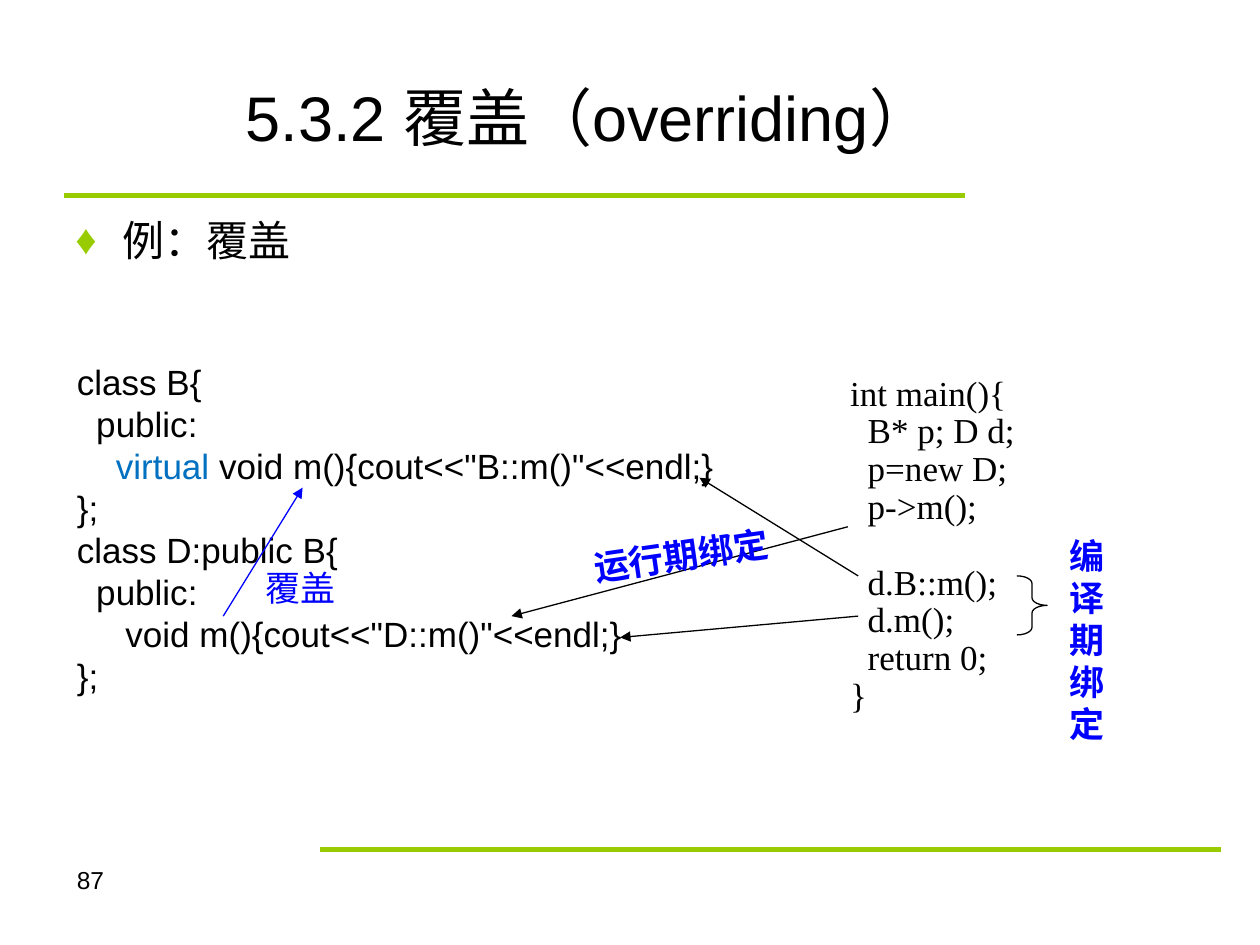
from dataclasses import dataclass

from lxml import etree
from pptx import Presentation
from pptx.dml.color import RGBColor
from pptx.enum.shapes import MSO_CONNECTOR, MSO_SHAPE
from pptx.enum.text import MSO_ANCHOR, MSO_AUTO_SIZE, PP_ALIGN
from pptx.oxml.ns import qn
from pptx.util import Cm, Pt

STRAIGHT = MSO_CONNECTOR.STRAIGHT
RIGHT_BRACE = MSO_SHAPE.RIGHT_BRACE
MIDDLE = MSO_ANCHOR.MIDDLE
NO_FIT = MSO_AUTO_SIZE.NONE
LEFT = PP_ALIGN.LEFT

CLASS_CODE = """class B{
  public:
    virtual void m(){cout<<"B::m()"<<endl;}
};
class D:public B{
  public:
     void m(){cout<<"D::m()"<<endl;}
};"""

MAIN_START = """int main(){
  B* p; D d;
  p=new D;
  p->m();"""

MAIN_END = """  d.B::m();
  d.m();
  return 0;
}"""


@dataclass(frozen=True)
class Theme:
    """Colours, fonts and type sizes of the slide."""

    ink: str = "000000"
    accent: str = "99CC00"
    keyword: str = "0070C0"
    label: str = "0000FF"
    sans: str = "Arial"
    serif: str = "Times New Roman"
    chinese: str = "Noto Sans CJK SC"
    title_size: int = 36
    bullet_size: int = 24
    text_size: int = 20
    number_size: int = 14
    rule_width: float = 3
    line_width: float = 0.75
    leading: float = 1.2
    tight_leading: float = 1.08


class SlideWriter:
    """Draws styled elements on the current slide."""

    def __init__(self, page, theme):
        self.page = page
        self.theme = theme

    def style(self, span, size, color, font, bold=False):
        """Format one run, with the Chinese font for East Asian text."""
        span.font.size = Pt(size)
        span.font.name = font
        span.font.bold = bold
        span.font.color.rgb = RGBColor.from_string(color)
        east_asian = etree.Element(qn("a:ea"), typeface=self.theme.chinese)
        span.font._element.find(qn("a:latin")).addnext(east_asian)

    def title(self, text, left, top, width, height):
        """Place and format the title placeholder."""
        box = self.page.shapes.title
        box.left, box.top, box.width, box.height = map(Cm, (left, top, width, height))
        frame = box.text_frame
        frame.text = text
        frame.auto_size = NO_FIT
        frame.vertical_anchor = MIDDLE
        para = frame.paragraphs[0]
        para.alignment = LEFT
        self.style(para.runs[0], self.theme.title_size, self.theme.ink, self.theme.sans)

    def text(self, text, left, top, width, height, size=None, color=None,
             font=None, bold=False, leading=None, rotation=0):
        """Add a text box with one paragraph per line and return it."""
        size = size or self.theme.text_size
        box = self.page.shapes.add_textbox(*map(Cm, (left, top, width, height)))
        box.rotation = rotation
        frame = box.text_frame
        frame.word_wrap = True
        frame.text = text
        for para in frame.paragraphs:
            para.line_spacing = Pt(size * (leading or self.theme.leading))
            for span in para.runs:
                self.style(span, size, color or self.theme.ink,
                           font or self.theme.sans, bold)
        return box

    def label(self, text, left, top, width, height, bold=True, rotation=0):
        """Add a Chinese annotation."""
        self.text(text, left, top, width, height, color=self.theme.label,
                  font=self.theme.chinese, bold=bold, rotation=rotation)

    def highlight(self, para, word):
        """Colour one word of a paragraph as a keyword."""
        parts = para.text.partition(word)
        para.text = ""
        for part in parts:
            span = para.add_run()
            span.text = part
            color = self.theme.keyword if part == word else self.theme.ink
            self.style(span, self.theme.text_size, color, self.theme.sans)

    def bullet(self, text, left, top, width, height):
        """Add a text box with a diamond bullet."""
        box = self.text(text, left, top, width, height, size=self.theme.bullet_size)
        properties = box.text_frame.paragraphs[0]._p.get_or_add_pPr()
        properties.set("marL", str(Cm(0.95)))
        properties.set("indent", str(-Cm(0.95)))
        color = etree.SubElement(properties, qn("a:buClr"))
        etree.SubElement(color, qn("a:srgbClr"), val=self.theme.accent)
        etree.SubElement(properties, qn("a:buFont"), typeface=self.theme.sans)
        etree.SubElement(properties, qn("a:buChar"), char="♦")

    def line(self, start, end, color, width):
        """Add a straight line without shadow and return it."""
        connector = self.page.shapes.add_connector(STRAIGHT, *map(Cm, (*start, *end)))
        connector.line.color.rgb = RGBColor.from_string(color)
        connector.line.width = Pt(width)
        etree.SubElement(connector._element.spPr, qn("a:effectLst"))
        return connector

    def rule(self, left, top, length):
        """Add a horizontal accent rule."""
        self.line((left, top), (left + length, top),
                  self.theme.accent, self.theme.rule_width)

    def arrow(self, start, end, color=None):
        """Add a thin line with a triangle at its end."""
        connector = self.line(start, end, color or self.theme.ink, self.theme.line_width)
        outline = connector.line._get_or_add_ln()
        etree.SubElement(outline, qn("a:tailEnd"), type="triangle")

    def brace(self, left, top, width, height):
        """Add a right brace outline."""
        shape = self.page.shapes.add_shape(RIGHT_BRACE, *map(Cm, (left, top, width, height)))
        shape.adjustments[0] = 0.25
        shape.shadow.inherit = False
        shape.fill.background()
        shape.line.color.rgb = RGBColor.from_string(self.theme.ink)
        shape.line.width = Pt(self.theme.line_width)


def main():
    """Build the slide on overriding."""
    deck = Presentation()
    deck.slide_width, deck.slide_height = Cm(25.4), Cm(19.05)
    theme = Theme()
    writer = SlideWriter(deck.slides.add_slide(deck.slide_layouts[5]), theme)

    writer.rule(1.3, 3.94, 18.16)
    writer.rule(6.45, 17.12, 18.16)
    writer.title("5.3.2 覆盖（overriding）", 4.7, 0.76, 19.43, 3.18)
    writer.text("87", 1.3, 17.32, 3.61, 1.32, size=theme.number_size)
    writer.bullet("例：覆盖", 1.27, 4.2, 22.86, 1.3)

    class_box = writer.text(CLASS_CODE, 1.3, 7.14, 14, 7.04)
    writer.highlight(class_box.text_frame.paragraphs[2], "virtual")
    main_box = writer.text(f"{MAIN_START}\n{MAIN_END}", 16.89, 7.44, 6.99, 7.11,
                           font=theme.serif, leading=theme.tight_leading)
    first_static_call = main_box.text_frame.paragraphs[len(MAIN_START.splitlines())]
    first_static_call.space_before = Pt(theme.text_size * theme.tight_leading)

    writer.arrow((4.5, 12.42), (6.1, 9.83), theme.label)
    writer.arrow((17.09, 10.62), (10.31, 12.42))
    writer.arrow((17.3, 12.42), (12.5, 12.85))
    writer.arrow((17.3, 11.61), (14.1, 9.63))
    writer.brace(20.5, 11.61, 0.61, 1.19)

    writer.label("覆盖", 5.11, 11.3, 2.46, 1.12, bold=False)
    writer.label("运行期绑定", 11.71, 10.6, 4.6, 1.12, rotation=351.8)
    writer.label("编译期绑定", 21.31, 10.65, 1.47, 4.5)
    deck.save("out.pptx")


if __name__ == "__main__":
    main()
